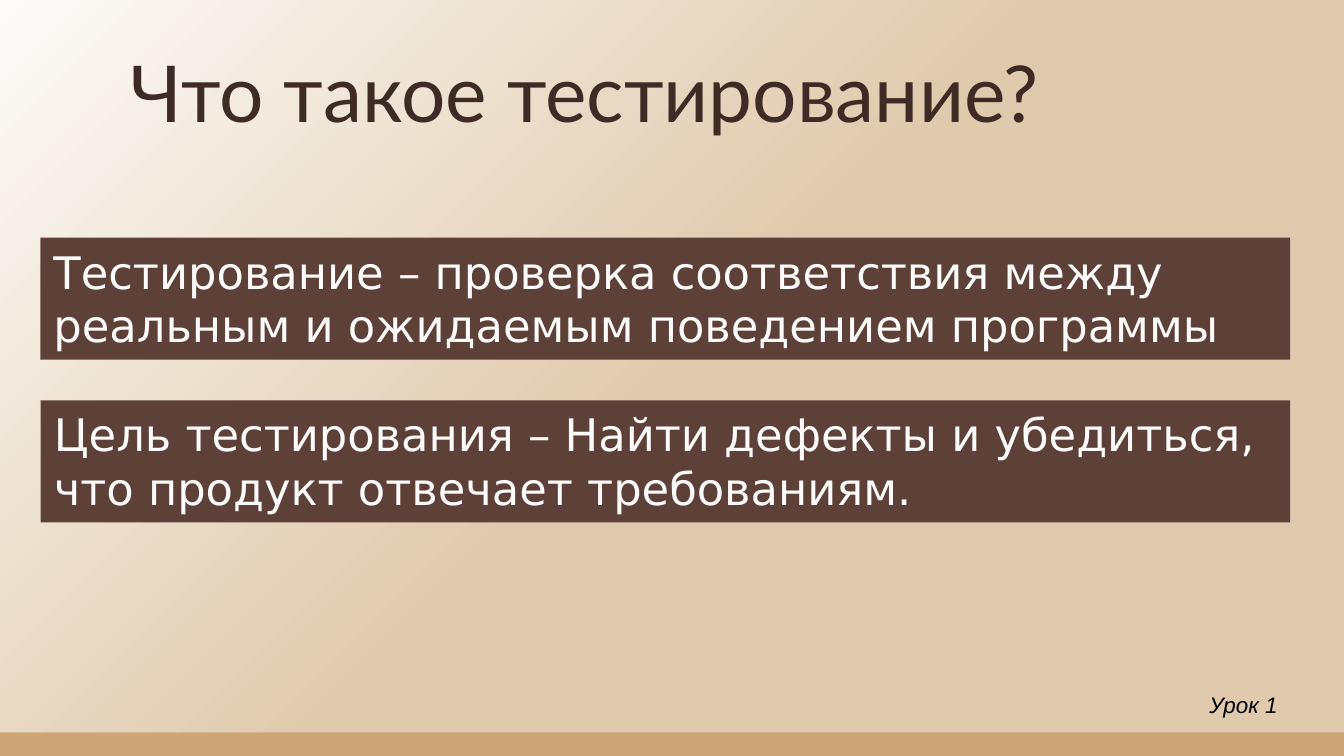
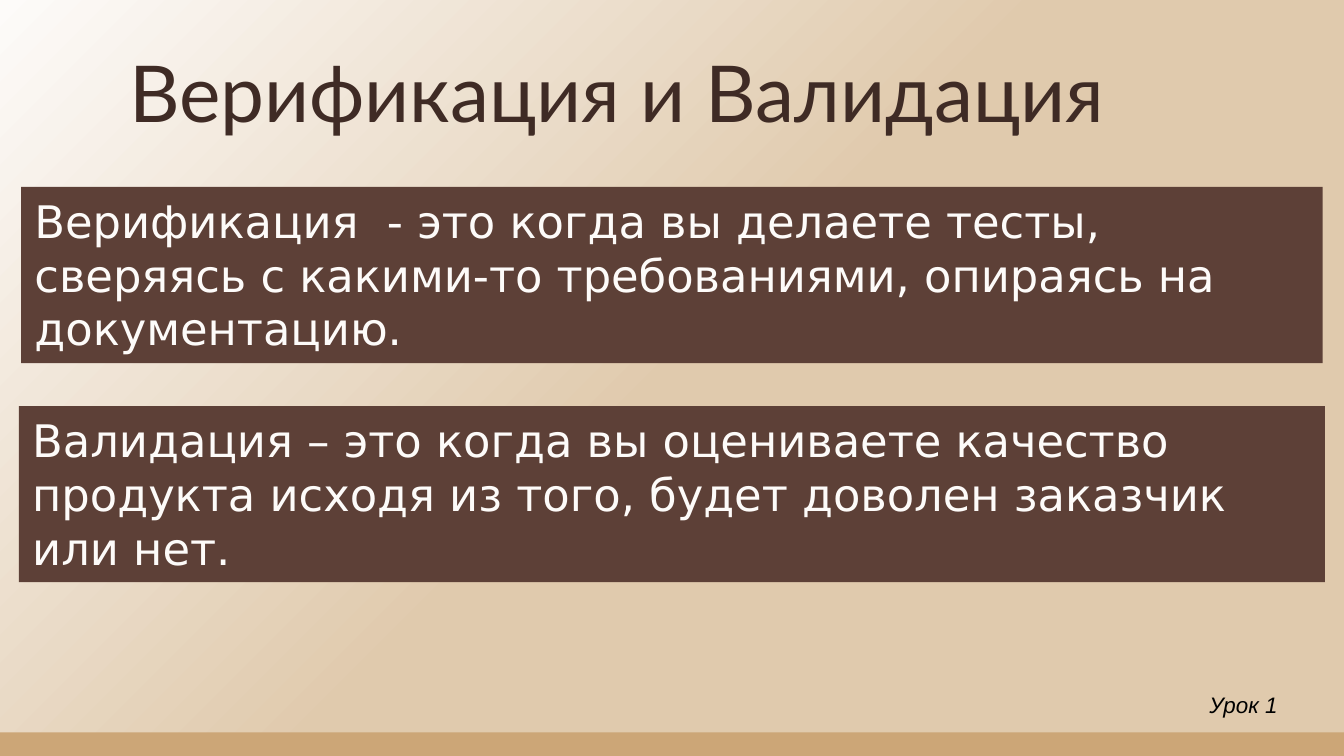
from pptx import Presentation
from pptx.dml.color import RGBColor
from pptx.enum.shapes import MSO_SHAPE
from pptx.enum.text import MSO_ANCHOR, MSO_AUTO_SIZE, PP_ALIGN
from pptx.util import Pt

WIDTH, HEIGHT = 720, 405
BAND_HEIGHT = 12.6
CREAM, SAND, CARAMEL, BROWN, DARK, BLACK = (
    "FDFBF9", "E0CAAD", "CCA677", "5D4037", "3F2B25", "000000")
TITLE_FONT = {"name": "Lato", "size": Pt(42), "color": DARK}
CARD_FONT = {"name": "DejaVu Sans", "size": Pt(24), "color": CREAM}
LESSON_FONT = {"name": "Arial", "size": Pt(12), "italic": True, "color": BLACK}
TITLE_FRAME = {"vertical_anchor": MSO_ANCHOR.BOTTOM, "word_wrap": True,
               "auto_size": MSO_AUTO_SIZE.NONE, "margin_left": Pt(7.2),
               "margin_right": Pt(7.2), "margin_top": Pt(7.2), "margin_bottom": Pt(7.2)}
TEXT_FRAME = {"vertical_anchor": MSO_ANCHOR.TOP, "word_wrap": True,
              "auto_size": MSO_AUTO_SIZE.SHAPE_TO_FIT_TEXT}

LESSON = "Урок 1"
PAGES = [
    ("Что такое тестирование?", (62.64, 20.88, 595.44, 61.2), [
        ("Тестирование – проверка соответствия между реальным и ожидаемым "
         "поведением программы", (21.6, 127.3, 669.6, 65.4)),
        ("Цель тестирования – Найти дефекты и убедиться, что продукт отвечает "
         "требованиям.", (21.8, 214.5, 669.4, 65.4)),
    ]),
    ("Верификация и Валидация", (62, 20.88, 595.44, 61.2), [
        ("Верификация  - это когда вы делаете тесты, сверяясь с какими-то "
         "требованиями, опираясь на документацию.", (11.4, 100.2, 697.2, 94.4)),
        ("Валидация – это когда вы оцениваете качество продукта исходя из того, "
         "будет доволен заказчик или нет.", (10.2, 217.6, 699.6, 94.4)),
    ]),
]


def rgb(code):
    """Turn a hex string into a colour."""
    return RGBColor.from_string(code)


def assign(target, values):
    """Set every attribute named in values on target."""
    for name, value in values.items():
        setattr(target, name, value)


def write(shape, text, font, frame_format, spacing=None):
    """Put one formatted left-aligned paragraph into a shape."""
    frame = shape.text_frame
    assign(frame, frame_format)
    para = frame.paragraphs[0]
    assign(para, {"alignment": PP_ALIGN.LEFT, "line_spacing": spacing})
    span = para.add_run()
    span.text = text
    assign(span.font, {key: value for key, value in font.items() if key != "color"})
    span.font.color.rgb = rgb(font["color"])


def add_block(page, box, color):
    """Draw a plain filled rectangle in the box."""
    block = page.shapes.add_shape(MSO_SHAPE.RECTANGLE, *map(Pt, box))
    block.shadow.inherit = False
    block.fill.solid()
    block.fill.fore_color.rgb = rgb(color)
    block.line.fill.background()
    return block


def paint_background(page):
    """Fill the page with the diagonal gradient and its bottom band."""
    fill = page.background.fill
    fill.gradient()
    fill.gradient_angle = 315
    for stop, color, position in zip(fill.gradient_stops, (CREAM, SAND), (0, 0.5)):
        stop.color.rgb = rgb(color)
        stop.position = position
    add_block(page, (0, HEIGHT - BAND_HEIGHT, WIDTH, BAND_HEIGHT), CARAMEL)


def place_title(page, text, box):
    """Move the title placeholder into the box and fill it."""
    title = page.shapes.title
    assign(title, dict(zip(("left", "top", "width", "height"), map(Pt, box))))
    write(title, text, TITLE_FONT, TITLE_FRAME, 0.9)


def add_lesson(page, box):
    """Add the lesson label in the box."""
    write(page.shapes.add_textbox(*map(Pt, box)), LESSON, LESSON_FONT, TEXT_FRAME)


def add_definition_page(deck, heading, heading_box, cards):
    """Add a page with a title and definition cards."""
    page = deck.slides.add_slide(deck.slide_layouts[5])
    paint_background(page)
    place_title(page, heading, heading_box)
    for text, box in cards:
        write(add_block(page, box, BROWN), text, CARD_FONT, TEXT_FRAME)
    add_lesson(page, (640.8, 366.48, 71.28, 21.6))


def main():
    """Build and save the deck."""
    deck = Presentation()
    assign(deck, {"slide_width": Pt(WIDTH), "slide_height": Pt(HEIGHT)})
    for heading, heading_box, cards in PAGES:
        add_definition_page(deck, heading, heading_box, cards)
    deck.save("out.pptx")


if __name__ == "__main__":
    main()
